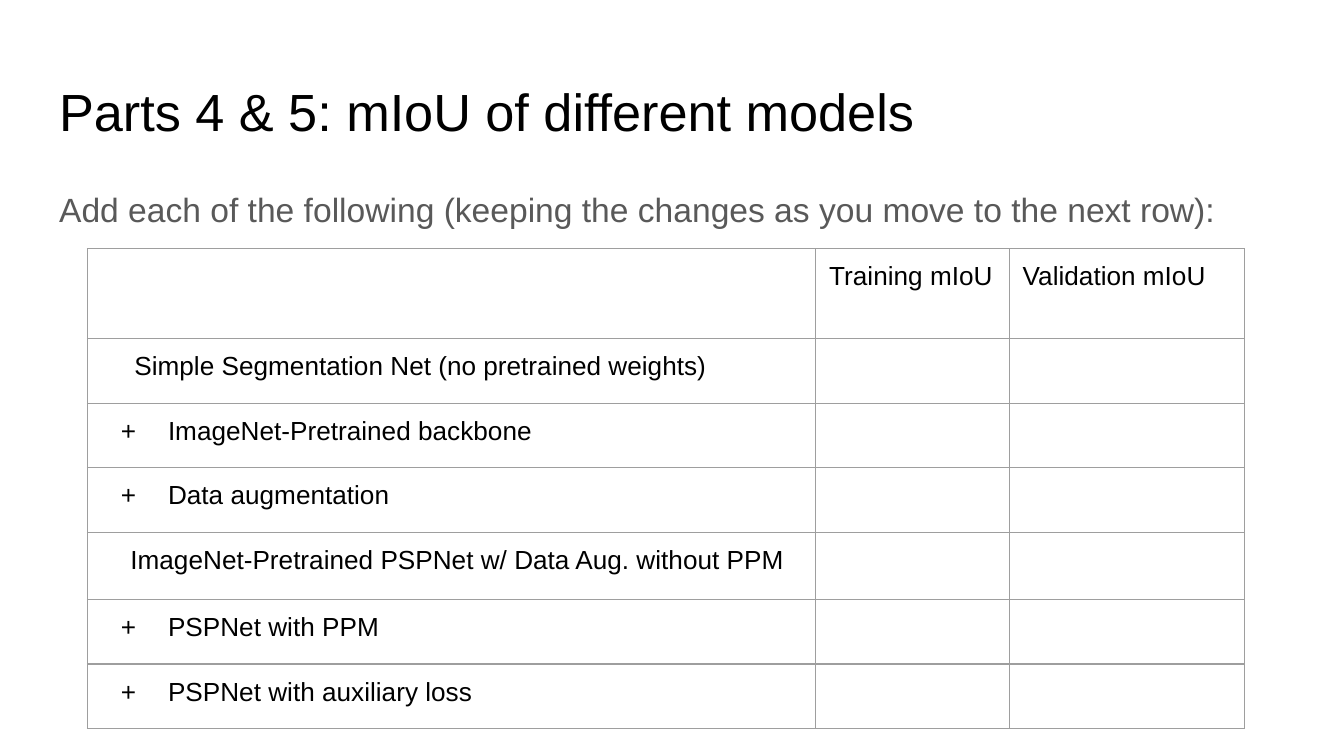
from dataclasses import dataclass

from lxml import etree
from pptx import Presentation
from pptx.dml.color import RGBColor
from pptx.enum.text import MSO_ANCHOR, MSO_AUTO_SIZE, PP_ALIGN
from pptx.oxml.ns import qn
from pptx.util import Inches, Pt


@dataclass(frozen=True)
class Theme:
    """Colours, font and type sizes of the slide."""
    font: str = "Arial"
    ink: str = "000000"
    muted: str = "595959"
    border: str = "9E9E9E"
    border_width: float = 0.75
    title_size: int = 28
    body_size: int = 18
    table_size: int = 14
    blank_size: int = 18


THEME = Theme()
HEADERS = ["Training mIoU", "Validation mIoU"]
# Row label, left indent, first-line offset, bullet
MODELS = [
    ("Simple Segmentation Net (no pretrained weights)", 0.25, 0, None),
    ("ImageNet-Pretrained backbone", 0.5, -0.35, "+"),
    ("Data augmentation", 0.5, -0.35, "+"),
    ("ImageNet-Pretrained PSPNet w/ Data Aug. without PPM", 0.22, 0, None),
    ("PSPNet with PPM", 0.5, -0.35, "+"),
    ("PSPNet with auxiliary loss", 0.5, -0.35, "+"),
]
COLUMN_WIDTHS = [5.42, 1.44, 1.75]
ROW_HEIGHTS = [0.67, 0.43, 0.43, 0.45, 0.5, 0.43, 0.43]


def style_paragraph(paragraph, size, color, left=0, offset=0, bullet=None):
    """Format the runs, indent and bullet of a paragraph."""
    paragraph.alignment = PP_ALIGN.LEFT
    paragraph.space_before = Pt(0)
    for run in paragraph.runs:
        run.font.name = THEME.font
        run.font.size = Pt(size)
        run.font.color.rgb = RGBColor.from_string(color)
    properties = paragraph._p.get_or_add_pPr()
    properties.set("marL", str(Inches(left)))
    properties.set("indent", str(Inches(offset)))
    if bullet:
        bullet_color = etree.SubElement(properties, qn("a:buClr"))
        etree.SubElement(bullet_color, qn("a:srgbClr"), val=color)
        etree.SubElement(properties, qn("a:buFont"), typeface=THEME.font)
        etree.SubElement(properties, qn("a:buChar"), char=bullet)
    else:
        etree.SubElement(properties, qn("a:buNone"))


def set_margins(target):
    """Give a cell or text frame equal inner margins."""
    target.margin_left = target.margin_right = Inches(0.1)
    target.margin_top = target.margin_bottom = Inches(0.1)


def fill_placeholder(shape, box, text, size, color):
    """Place a placeholder in its box and set its text."""
    shape.left, shape.top, shape.width, shape.height = map(Inches, box)
    text_frame = shape.text_frame
    text_frame.text = text
    text_frame.word_wrap = True
    text_frame.auto_size = MSO_AUTO_SIZE.NONE
    text_frame.vertical_anchor = MSO_ANCHOR.TOP
    set_margins(text_frame)
    style_paragraph(text_frame.paragraphs[0], size, color)


def style_cell(cell):
    """Set the margins, borders and empty fill of a table cell."""
    set_margins(cell)
    properties = cell._tc.get_or_add_tcPr()
    for side in ("lnL", "lnR", "lnT", "lnB"):
        line = etree.SubElement(properties, qn(f"a:{side}"),
                                w=str(Pt(THEME.border_width)))
        fill = etree.SubElement(line, qn("a:solidFill"))
        etree.SubElement(fill, qn("a:srgbClr"), val=THEME.border)
    cell.fill.background()


def write_cell(cell, text, **layout):
    """Write one formatted paragraph into a table cell."""
    cell.text = text
    style_paragraph(cell.text_frame.paragraphs[0], THEME.table_size,
                    THEME.ink, **layout)


def style_blank_cell(cell):
    """Set the font that gives a blank cell its line height."""
    mark = etree.SubElement(cell.text_frame.paragraphs[0]._p,
                            qn("a:endParaRPr"), sz=str(THEME.blank_size * 100))
    etree.SubElement(mark, qn("a:latin"), typeface=THEME.font)


def add_model_table(slide, left, top):
    """Add the table of models with blank score columns."""
    frame = slide.shapes.add_table(
        len(ROW_HEIGHTS), len(COLUMN_WIDTHS), Inches(left), Inches(top),
        Inches(sum(COLUMN_WIDTHS)), Inches(sum(ROW_HEIGHTS)))
    table = frame.table
    table.first_row = table.horz_banding = False
    for column, width in zip(table.columns, COLUMN_WIDTHS):
        column.width = Inches(width)
    for row, height in zip(table.rows, ROW_HEIGHTS):
        row.height = Inches(height)
    for index, header in enumerate(HEADERS, start=1):
        write_cell(table.cell(0, index), header)
    for index, (label, left_indent, offset, bullet) in enumerate(MODELS, start=1):
        write_cell(table.cell(index, 0), label,
                   left=left_indent, offset=offset, bullet=bullet)
    for cell in table.iter_cells():
        style_cell(cell)
        if not cell.text:
            style_blank_cell(cell)


def build_results_slide(presentation):
    """Add the slide with its title, instruction and model table."""
    slide = presentation.slides.add_slide(presentation.slide_layouts[1])
    fill_placeholder(slide.shapes.title, (0.34, 0.49, 9.32, 0.63),
                     "Parts 4 & 5: mIoU of different models",
                     THEME.title_size, THEME.ink)
    body = slide.placeholders[1]
    fill_placeholder(body, (0.34, 1.26, 9.32, 3.74),
                     "Add each of the following (keeping the changes "
                     "as you move to the next row):",
                     THEME.body_size, THEME.muted)
    body.text_frame.paragraphs[0].line_spacing = 1.15
    add_model_table(slide, 0.65, 1.85)


presentation = Presentation()
presentation.slide_width = Inches(10)
presentation.slide_height = presentation.slide_width * 9 // 16
build_results_slide(presentation)
presentation.save("out.pptx")
